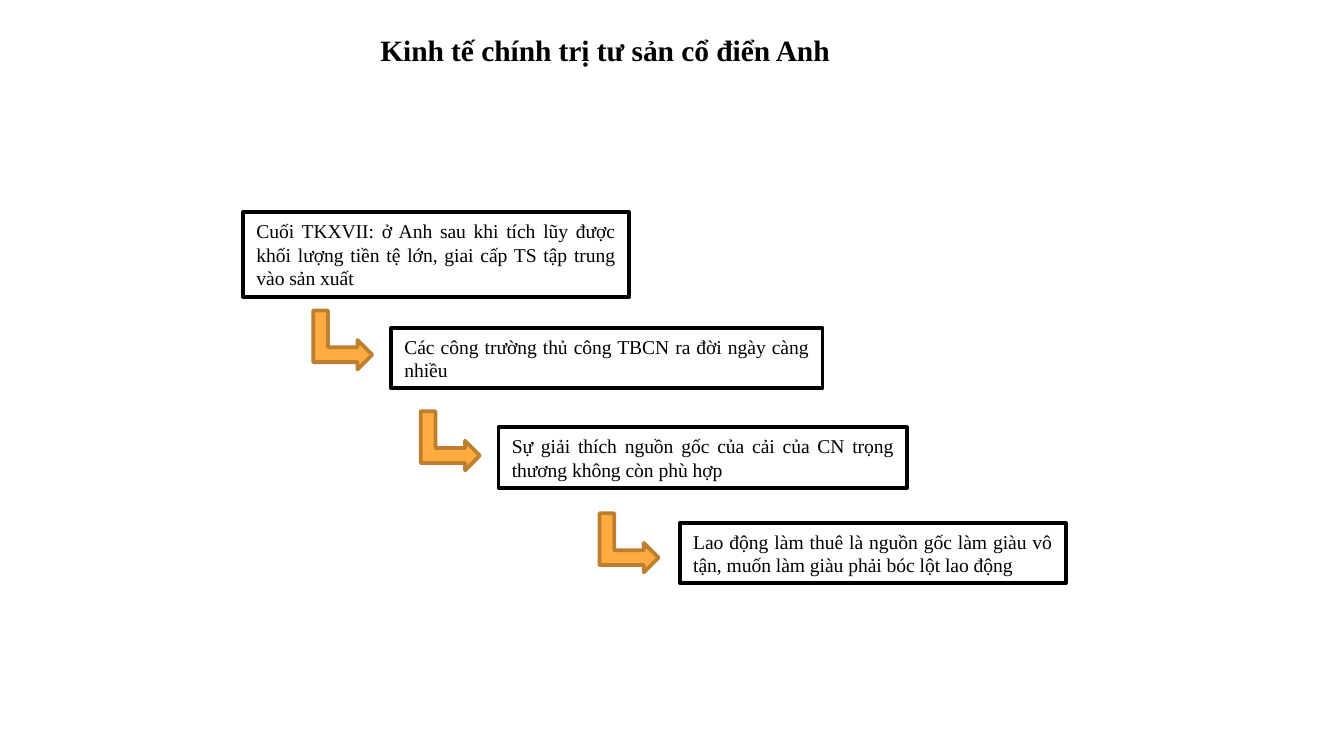
from typing import NamedTuple, Optional

from pptx import Presentation
from pptx.dml.color import RGBColor
from pptx.enum.shapes import MSO_SHAPE
from pptx.enum.text import MSO_ANCHOR, MSO_AUTO_SIZE, PP_ALIGN
from pptx.util import Inches, Length, Pt

RECTANGLE = MSO_SHAPE.RECTANGLE
BENT_ARROW = MSO_SHAPE.BENT_UP_ARROW
MIDDLE = MSO_ANCHOR.MIDDLE
NO_AUTOFIT = MSO_AUTO_SIZE.NONE
LEFT, JUSTIFY = PP_ALIGN.LEFT, PP_ALIGN.JUSTIFY
TITLE_ONLY = 5

FONT = "Times New Roman"
BLACK, WHITE = "000000", "FFFFFF"
ORANGE, BROWN = "FFAB40", "BD7F2F"
CELL = 0.1  # inches: the page is 100 columns by 56.25 rows
COLUMNS, ROWS = 100, 56.25
LINE_HEIGHT, BOX_PADDING = 1.8, 0.9
ARROW_SIZE = 4.4


class Area(NamedTuple):
    column: float
    row: float
    columns: float
    rows: float


class Step(NamedTuple):
    text: str
    column: float
    row: float
    columns: float
    lines: int = 2
    arrow: Optional[tuple[float, float]] = None


TITLE = "Kinh tế chính trị tư sản cổ điển Anh"
TITLE_AREA = Area(27.3, 1.85, 39, 3.7)
STEPS = [
    Step("Cuối TKXVII: ở Anh sau khi tích lũy được khối lượng tiền tệ lớn, "
         "giai cấp TS tập trung vào sản xuất", 18.1, 15.8, 28.7, lines=3),
    Step("Các công trường thủ công TBCN ra đời ngày càng nhiều",
         29.1, 24.4, 32.1, arrow=(23.3, 23.1)),
    Step("Sự giải thích nguồn gốc của cải của CN trọng thương không còn phù hợp",
         37.1, 31.8, 30.4, arrow=(31.3, 30.6)),
    Step("Lao động làm thuê là nguồn gốc làm giàu vô tận, "
         "muốn làm giàu phải bóc lột lao động",
         50.6, 38.9, 28.7, arrow=(44.6, 38.2)),
]


def grid(cells: float) -> Length:
    return Inches(cells * CELL)


def color(value: str) -> RGBColor:
    return RGBColor.from_string(value)


def write(shape, text: str, size: float, align, bold: bool = False) -> None:
    frame = shape.text_frame
    frame.text = text
    frame.word_wrap = True
    frame.auto_size = NO_AUTOFIT
    frame.vertical_anchor = MIDDLE
    frame.margin_left = frame.margin_right = Inches(0.1)
    frame.margin_top = frame.margin_bottom = Inches(0.05)
    para = frame.paragraphs[0]
    para.alignment = align
    para.space_before = Pt(0)
    font = para.runs[0].font
    font.name, font.size, font.bold = FONT, Pt(size), bold
    font.color.rgb = color(BLACK)


def add_title(page) -> None:
    title = page.shapes.title
    title.left, title.top, title.width, title.height = map(grid, TITLE_AREA)
    write(title, TITLE, 15.75, LEFT, bold=True)


def add_outlined(page, kind, area: Area, fill: str, line: str):
    shape = page.shapes.add_shape(kind, *map(grid, area))
    shape.shadow.inherit = False
    shape.fill.solid()
    shape.fill.fore_color.rgb = color(fill)
    shape.line.color.rgb = color(line)
    shape.line.width = Pt(2)
    return shape


def add_step(page, step: Step) -> None:
    """Draw a text box and, after the first step, the arrow that leads to it."""
    height = step.lines * LINE_HEIGHT + BOX_PADDING
    area = Area(step.column, step.row, step.columns, height)
    box = add_outlined(page, RECTANGLE, area, WHITE, BLACK)
    write(box, step.text, 10.5, JUSTIFY)
    if step.arrow:
        arrow_area = Area(*step.arrow, ARROW_SIZE, ARROW_SIZE)
        arrow = add_outlined(page, BENT_ARROW, arrow_area, ORANGE, BROWN)
        arrow.rotation = 90


def main() -> None:
    deck = Presentation()
    deck.slide_width, deck.slide_height = grid(COLUMNS), grid(ROWS)
    page = deck.slides.add_slide(deck.slide_layouts[TITLE_ONLY])
    add_title(page)
    for step in STEPS:
        add_step(page, step)
    deck.save("out.pptx")


if __name__ == "__main__":
    main()
